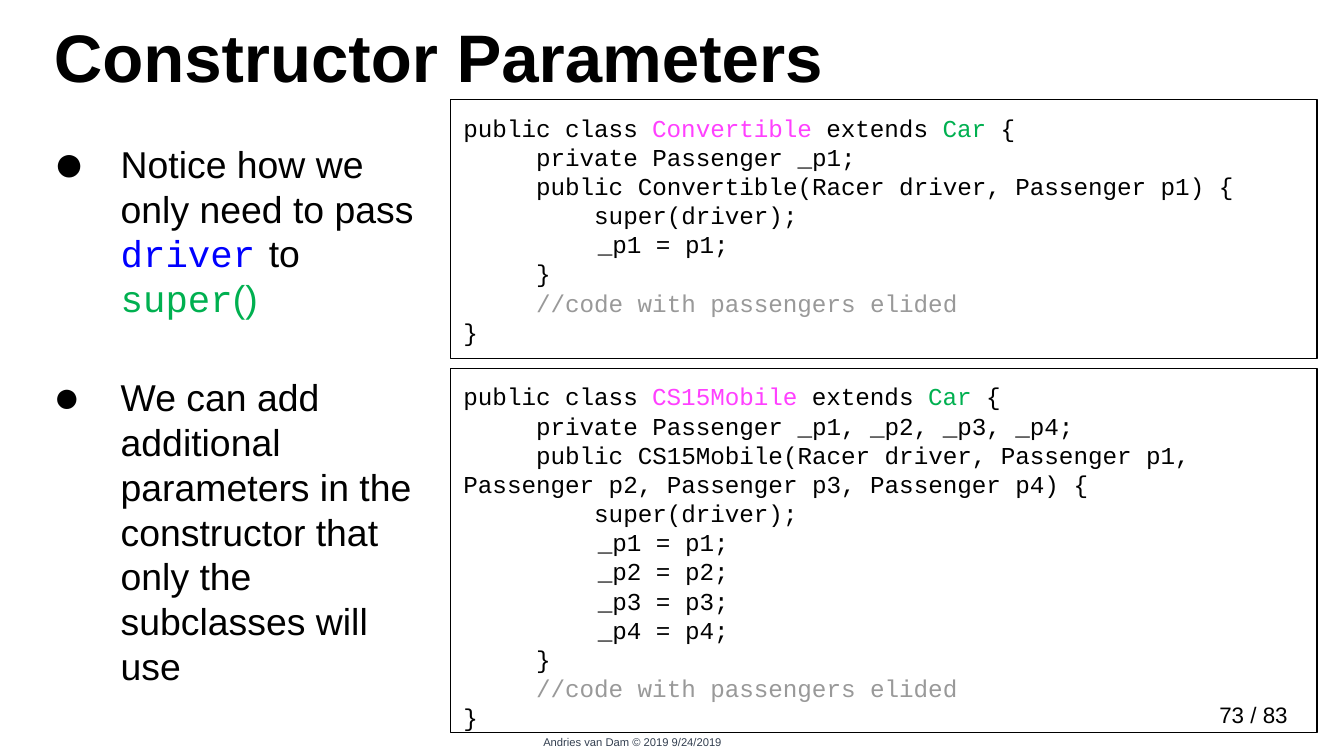
import pptx
import pptx.util
import pptx.dml.color
import pptx.enum.shapes
import pptx.enum.text
import pptx.oxml.ns
import lxml.etree

RGBColor = pptx.dml.color.RGBColor
BLACK = RGBColor(0x00, 0x00, 0x00)
SLATE = RGBColor(0x33, 0x3F, 0x50)
BLUE = RGBColor(0x00, 0x00, 0xFF)
GREEN = RGBColor(0x00, 0xB0, 0x50)
PINK = RGBColor(0xFF, 0x40, 0xFF)
GREY = RGBColor(0x99, 0x99, 0x99)

SANS, MONO = "Arial", "Courier New"
ALIGN = pptx.enum.text.PP_ALIGN
ANCHOR = pptx.enum.text.MSO_ANCHOR


def add_element(parent, tag, **attributes):
    return lxml.etree.SubElement(parent, pptx.oxml.ns.qn(tag), attributes)


class SlideBuilder:
    """Holds the style and the current page; the grid has ten units to the inch."""

    unit = pptx.util.Inches(0.1)
    body_size, code_size = 20, 13

    def __init__(self, deck):
        self.page = deck.slides.add_slide(deck.slide_layouts[5])

    def area(self, column, row, columns, rows):
        return [round(self.unit * count) for count in (column, row, columns, rows)]

    def style(self, font, size, name=SANS, color=BLACK, bold=None):
        font.size, font.name, font.bold = pptx.util.Pt(size), name, bold
        font.color.rgb = color

    def title(self, text, *cells):
        box = self.page.shapes.title
        box.left, box.top, box.width, box.height = self.area(*cells)
        frame = box.text_frame
        frame.text, frame.vertical_anchor = text, ANCHOR.MIDDLE
        para = frame.paragraphs[0]
        para.alignment, para.line_spacing = ALIGN.LEFT, 0.9
        self.style(para.font, 36, bold=True)

    def text_box(self, *cells):
        frame = self.page.shapes.add_textbox(*self.area(*cells)).text_frame
        frame.word_wrap = True
        return frame

    def label(self, text, size, color, alignment, anchor, *cells):
        frame = self.text_box(*cells)
        frame.text, frame.vertical_anchor = text, anchor
        para = frame.paragraphs[0]
        para.alignment = alignment
        self.style(para.font, size, color=color)

    def paragraphs(self, frame, count):
        return [frame.paragraphs[0]] + [frame.add_paragraph() for _ in range(count - 1)]

    def bullets(self, items, gap, *cells):
        frame = self.text_box(*cells)
        for index, (para, (percent, spans)) in enumerate(
                zip(self.paragraphs(frame, len(items)), items)):
            indent = pptx.util.Inches(0.5)
            props = para._p.get_or_add_pPr()
            props.set("marL", str(indent))
            props.set("indent", str(-indent))
            if index:
                para.space_before = pptx.util.Pt(gap)
            add_element(props, "a:buSzPct", val=str(percent * 1000))
            add_element(props, "a:buFont", typeface=SANS)
            add_element(props, "a:buChar", char="●")
            for text, name, color, size in spans:
                span = para.add_run()
                span.text = text
                self.style(span.font, size, name, color)

    def code(self, lines, *cells):
        box = self.page.shapes.add_shape(
            pptx.enum.shapes.MSO_SHAPE.RECTANGLE, *self.area(*cells))
        box.shadow.inherit = False
        box.fill.background()
        box.line.color.rgb, box.line.width = BLACK, pptx.util.Pt(0.75)
        frame = box.text_frame
        frame.word_wrap, frame.vertical_anchor = True, ANCHOR.TOP
        frame.margin_left = frame.margin_right = self.unit
        frame.margin_top = frame.margin_bottom = self.unit
        for para, line in zip(self.paragraphs(frame, len(lines)), lines):
            para.alignment = ALIGN.LEFT
            tabs = add_element(para._p.get_or_add_pPr(), "a:tabLst")
            add_element(tabs, "a:tab", pos=str(pptx.util.Inches(1)), algn="l")
            self.style(para.font, self.code_size, MONO)
            for text, color in line:
                span = para.add_run()
                span.text = text
                self.style(span.font, self.code_size, MONO, color)


def subclass_code(name, members):
    """Lines of a class that extends Car, each a list of (text, color)."""
    header = [("public class ", BLACK), (name + " ", PINK),
              ("extends ", BLACK), ("Car ", GREEN), ("{", BLACK)]
    return [header, *([(member, BLACK)] for member in members),
            [("     ", BLACK), ("//code with passengers elided", GREY)],
            [("}", BLACK)]]


def main():
    deck = pptx.Presentation()
    deck.slide_width = pptx.util.Inches(10)
    deck.slide_height = pptx.util.Inches(10) * 9 // 16
    slide = SlideBuilder(deck)

    # Footer and page number
    slide.label("Andries van Dam © 2019 9/24/2019", 6, SLATE, ALIGN.CENTER,
                ANCHOR.TOP, 33.3, 54.2, 27.5, 4.4)
    slide.label("73 / 83", 12, BLACK, ALIGN.RIGHT, ANCHOR.MIDDLE,
                74.3, 51.7, 22.5, 3)

    # Title
    slide.title("Constructor Parameters", 3, 1.1, 93.8, 6.8)

    # Explanation
    size = slide.body_size
    slide.bullets([
        (140, [("Notice how we only need to pass ", SANS, BLACK, size),
               ("driver", MONO, BLUE, size),
               (" ", MONO, BLACK, 12),
               ("to ", SANS, BLACK, size),
               ("super", MONO, GREEN, size),
               ("()", SANS, GREEN, size)]),
        (120, [("We can add additional parameters in the constructor "
                "that only the subclasses will use", SANS, BLACK, size)]),
    ], 29, 3, 10, 30.4, 38.7)

    # Code of the two subclasses
    code_left, code_width = 33.5, 64.5
    slide.code(subclass_code("Convertible", [
        "     private Passenger _p1;",
        "     public Convertible(Racer driver, Passenger p1) {",
        "         super(driver);",
        "\t_p1 = p1;",
        "     }",
    ]), code_left, 7.4, code_width, 19.3)
    slide.code(subclass_code("CS15Mobile", [
        "     private Passenger _p1, _p2, _p3, _p4;",
        "     public CS15Mobile(Racer driver, Passenger p1, "
        "\tPassenger p2, Passenger p3, Passenger p4) {",
        "         super(driver);",
        *(f"\t_p{number} = p{number};" for number in range(1, 5)),
        "     }",
    ]), code_left, 27.4, code_width, 27.1)

    deck.save("out.pptx")


if __name__ == "__main__":
    main()
